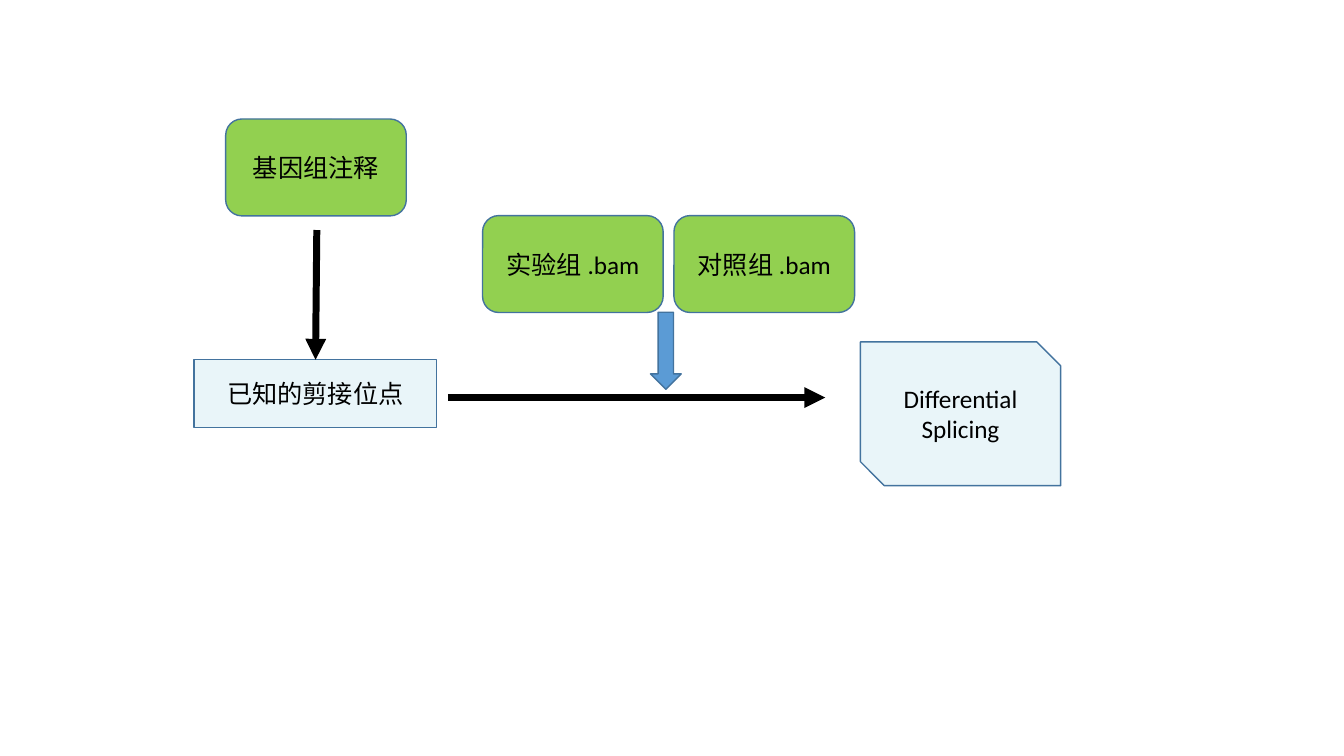
from dataclasses import dataclass

from lxml.etree import SubElement
from pptx import Presentation
from pptx.dml.color import RGBColor
from pptx.enum.shapes import MSO_CONNECTOR as Connector, MSO_SHAPE as Preset
from pptx.enum.text import MSO_ANCHOR as Anchor, PP_ALIGN as Align
from pptx.oxml.ns import qn
from pptx.util import Pt

GREEN, PALE, BLUE = "92D050", "E9F5F9", "5B9BD5"
OUTLINE, BLACK = "43739E", "000000"
FILE_W, FILE_H = 129, 69.2
BAM_LEFT, BAM_TOP, BAM_PITCH = 344.7, 154, 136.7


@dataclass(frozen=True)
class Node:
    """One filled step of the workflow, in points."""
    preset: Preset
    left: float
    top: float
    width: float
    height: float
    fill: str
    text: str = ""
    rotation: float = 0


@dataclass(frozen=True)
class Flow:
    """One black arrow from a start point to an end point, in points."""
    x1: float
    y1: float
    x2: float
    y2: float


def input_file(left: float, top: float, text: str) -> Node:
    """Describe a green input file."""
    return Node(Preset.ROUNDED_RECTANGLE, left, top, FILE_W, FILE_H, GREEN, text)


known_sites = Node(Preset.RECTANGLE, 138.6, 257, 173.2, 48.3, PALE, "已知的剪接位点")
bam_files = [input_file(BAM_LEFT + i * BAM_PITCH, BAM_TOP, f"{group} .bam")
             for i, group in enumerate(("实验组", "对照组"))]
annotation_flow = Flow(226.3, 164.3, 225.4, 257)
splicing_flow = Flow(320, 284, 589.5, 284)
bam_arrow = Node(Preset.RIGHT_ARROW, 448.1, 239.6, 55, 22, BLUE, rotation=90)
result = Node(Preset.SNIP_2_DIAG_RECTANGLE, 614.6, 244.2, 143, 102.7, PALE,
              "Differential Splicing")
annotation = input_file(161.2, 85, "基因组注释")


def color(value: str) -> RGBColor:
    """Turn a hex string into a colour."""
    return RGBColor.from_string(value)


def write(frame, text: str, *, size: float = 18, font: str = "Calibri",
          ink: str = BLACK, align: Align = Align.CENTER) -> None:
    """Put formatted text into a text frame."""
    frame.word_wrap = True
    frame.vertical_anchor = Anchor.MIDDLE
    paragraph = frame.paragraphs[0]
    paragraph.alignment = align
    run = paragraph.add_run()
    run.text = text
    run.font.size = Pt(size)
    run.font.name = font
    run.font.color.rgb = color(ink)


def draw_node(slide, node: Node) -> None:
    """Draw a workflow step with its label."""
    shape = slide.shapes.add_shape(node.preset, Pt(node.left), Pt(node.top),
                                   Pt(node.width), Pt(node.height))
    shape.shadow.inherit = False
    shape.rotation = node.rotation
    shape.fill.solid()
    shape.fill.fore_color.rgb = color(node.fill)
    shape.line.color.rgb = color(OUTLINE)
    shape.line.width = Pt(1)
    if node.text:
        write(shape.text_frame, node.text)


def draw_flow(slide, flow: Flow) -> None:
    """Draw a thick arrow with a triangular head."""
    arrow = slide.shapes.add_connector(Connector.STRAIGHT, Pt(flow.x1), Pt(flow.y1),
                                       Pt(flow.x2), Pt(flow.y2))
    arrow.line.color.rgb = color(BLACK)
    arrow.line.width = Pt(5)
    SubElement(arrow.line._get_or_add_ln(), qn("a:tailEnd"), type="triangle")
    SubElement(arrow._element.spPr, qn("a:effectLst"))


def main() -> None:
    """Build the splicing workflow slide."""
    deck = Presentation()
    deck.slide_width, deck.slide_height = Pt(960), Pt(540)
    slide = deck.slides.add_slide(deck.slide_layouts[6])
    experiment, control = bam_files
    for part in (known_sites, experiment, annotation_flow, control,
                 splicing_flow, bam_arrow, result, annotation):
        if isinstance(part, Flow):
            draw_flow(slide, part)
        else:
            draw_node(slide, part)
    deck.save("out.pptx")


main()
